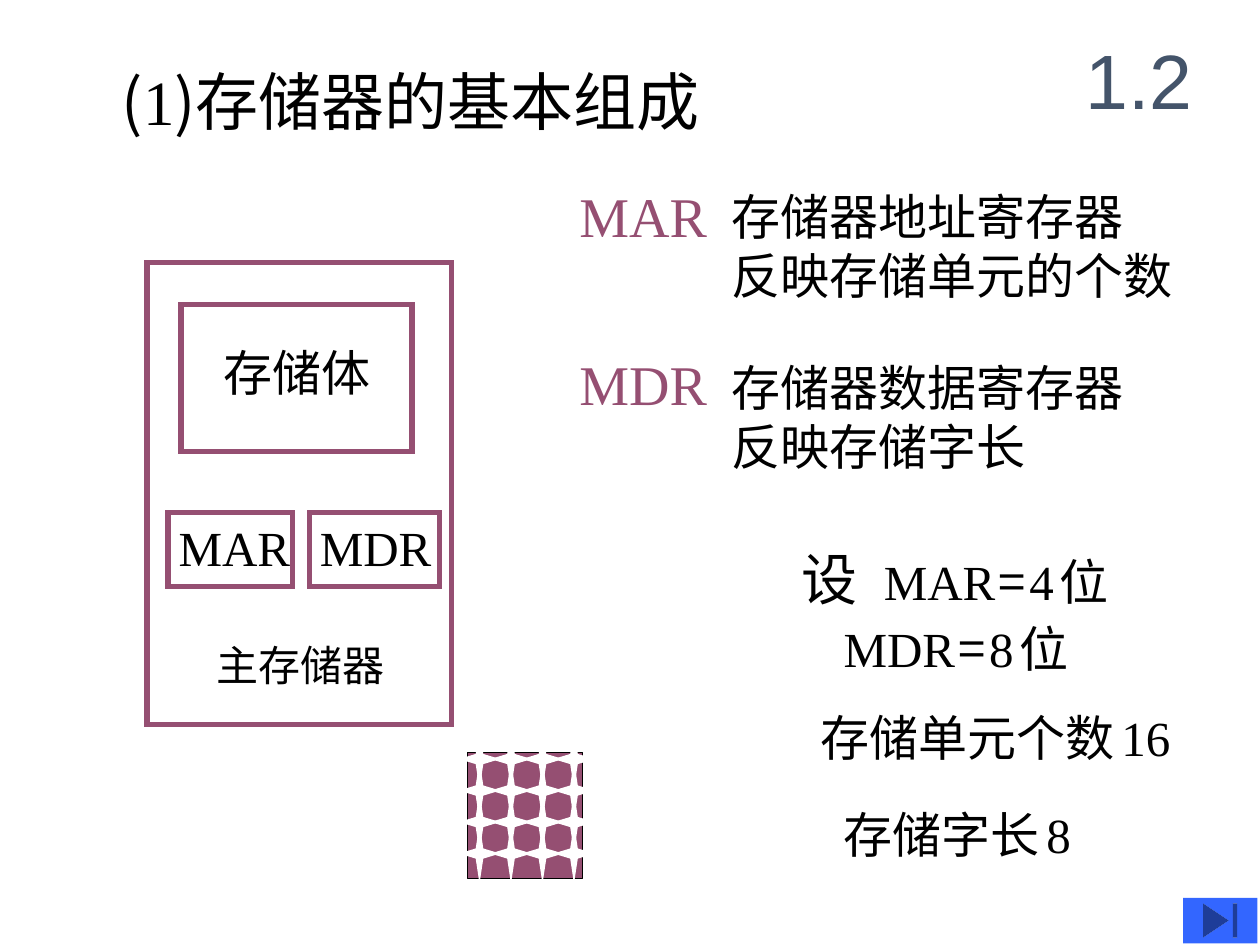
from dataclasses import dataclass

from lxml.etree import SubElement
from pptx import Presentation
from pptx.dml.color import RGBColor
from pptx.enum.shapes import MSO_SHAPE as SHAPE
from pptx.enum.text import MSO_ANCHOR as ANCHOR, PP_ALIGN as ALIGN
from pptx.oxml.ns import qn
from pptx.util import Pt


@dataclass(frozen=True)
class Theme:
    plum: RGBColor = RGBColor(0x95, 0x4F, 0x72)
    black: RGBColor = RGBColor(0, 0, 0)
    white: RGBColor = RGBColor(255, 255, 255)
    slate: RGBColor = RGBColor(0x44, 0x54, 0x6A)
    blue: RGBColor = RGBColor(0x33, 0x66, 0xFF)
    sans: str = "Arial"
    serif: str = "Times New Roman"
    cjk: str = "Noto Sans CJK SC"
    number: int = 44
    title: int = 36
    term: int = 32
    body: int = 28
    caption: int = 24
    wide_gap: int = 18
    gap: int = 14
    thin_gap: int = 9


T = Theme()


def set_font(font, face, size, color=T.black):
    """Format a run or paragraph font, with the same face for East Asian text."""
    font.name, font.size = face, Pt(size)
    font.color.rgb = color
    SubElement(font._rPr, qn("a:ea")).set("typeface", face)


def add_text(x, y, w, h, lines, face=T.cjk, size=T.body, color=T.black):
    """Add a text box; a line is a string or a list of (text, face, size) runs."""
    tf = s.shapes.add_textbox(Pt(x), Pt(y), Pt(w), Pt(h)).text_frame
    tf.word_wrap = True
    for i, line in enumerate(lines):
        p = tf.add_paragraph() if i else tf.paragraphs[0]
        if isinstance(line, str):
            p.text = line
            set_font(p.font, face, size, color)
        else:
            for text, run_face, run_size in line:
                r = p.add_run()
                r.text = text
                set_font(r.font, run_face, run_size, color)
    return tf


prs = Presentation()
prs.slide_width, prs.slide_height = Pt(720), Pt(540)
s = prs.slides.add_slide(prs.slide_layouts[5])

# Heading and section number
title = s.shapes.title
title.left, title.top, title.width, title.height = Pt(62.4), Pt(32), Pt(461.5), Pt(50.4)
tf = title.text_frame
tf.vertical_anchor = ANCHOR.TOP
p = tf.paragraphs[0]
p.alignment = ALIGN.LEFT
for text, face in (("(", T.cjk), ("1", T.serif), (")存储器的基本组成", T.cjk)):
    r = p.add_run()
    r.text = text
    set_font(r.font, face, T.title)

tf = add_text(606, 12, 90, 66, ["1.2"], T.sans, T.number, T.slate)
tf.vertical_anchor = ANCHOR.MIDDLE
tf.paragraphs[0].alignment = ALIGN.CENTER

# Registers and what they hold
registers = (
    ("MAR", 100, 103, ["存储器地址寄存器", "反映存储单元的个数"]),
    ("MDR", 196, 201, ["存储器数据寄存器", "反映存储字长"]),
)
for name, name_y, meaning_y, meaning in registers:
    add_text(324, name_y, 109, 46, [name], T.serif, T.term, T.plum)
    add_text(411, meaning_y, 275, 75, meaning)

# Main memory block diagram
for x, y, w, h in ((84, 150, 174, 264), (103.5, 174, 132, 84), (96, 293, 71, 42), (177, 293, 74, 42)):
    sp = s.shapes.add_shape(SHAPE.RECTANGLE, Pt(x), Pt(y), Pt(w), Pt(h))
    sp.shadow.inherit = False
    sp.fill.background()
    sp.line.color.rgb, sp.line.width = T.plum, Pt(3)
    SubElement(sp.line._get_or_add_ln(), qn("a:miter"), lim="800000")

labels = (
    (120.5, 192, 112, 41, "存储体", T.cjk, T.body),
    (95, 292, 84, 41, "MAR", T.serif, T.body),
    (175.7, 292, 84, 41, "MDR", T.serif, T.body),
    (116.6, 362, 124, 36, "主存储器", T.cjk, T.caption),
)
for x, y, w, h, text, face, size in labels:
    add_text(x, y, w, h, [text], face, size)

# Storage cells: a panel cut by a 4 x 4 grid of stars
panel = s.shapes.add_shape(SHAPE.RECTANGLE, Pt(267), Pt(430), Pt(66), Pt(72))
panel.shadow.inherit = False
panel.fill.solid()
panel.fill.fore_color.rgb = T.plum
panel.line.color.rgb, panel.line.width = T.black, Pt(0.75)
for row in range(4):
    for col in range(4):
        star = s.shapes.add_shape(
            SHAPE.STAR_4_POINT, Pt(263.5 + 18 * col), Pt(419 + 18 * row), Pt(21), Pt(29.5))
        star.shadow.inherit = False
        star.fill.solid()
        star.fill.fore_color.rgb = T.white
        star.line.color.rgb, star.line.width = T.white, Pt(0.75)

# Worked example
widths = [
    [(name, T.serif, T.body), (" ", T.cjk, T.thin_gap), ("=", T.cjk, T.body),
     (" ", T.cjk, T.thin_gap), (bits, T.serif, T.body), (" ", T.cjk, T.gap),
     ("位", T.cjk, T.body)]
    for name, bits in (("MAR", "4"), ("MDR", "8"))
]
widths[0].insert(0, ("设\t", T.cjk, T.term))
tf = add_text(451, 307.5, 269, 84, widths)
first, second = tf.paragraphs
tabs = SubElement(first._p.get_or_add_pPr(), qn("a:tabLst"))
SubElement(tabs, qn("a:tab"), pos=str(Pt(47)), algn="l")
second._p.get_or_add_pPr().set("marL", str(Pt(24)))
second.space_before = Pt(4)

for x, y, w, text, value in ((462, 400.5, 258, "存储单元个数", "16"), (475, 456, 245, "存储字长", "8")):
    add_text(x, y, w, 41, [[(text, T.cjk, T.body), (" ", T.cjk, T.wide_gap), (value, T.serif, T.body)]])

button = s.shapes.add_shape(SHAPE.ACTION_BUTTON_END, Pt(676), Pt(513), Pt(42.5), Pt(26))
button.shadow.inherit = False
button.fill.solid()
button.fill.fore_color.rgb = T.blue
button.line.fill.background()

prs.save("out.pptx")
